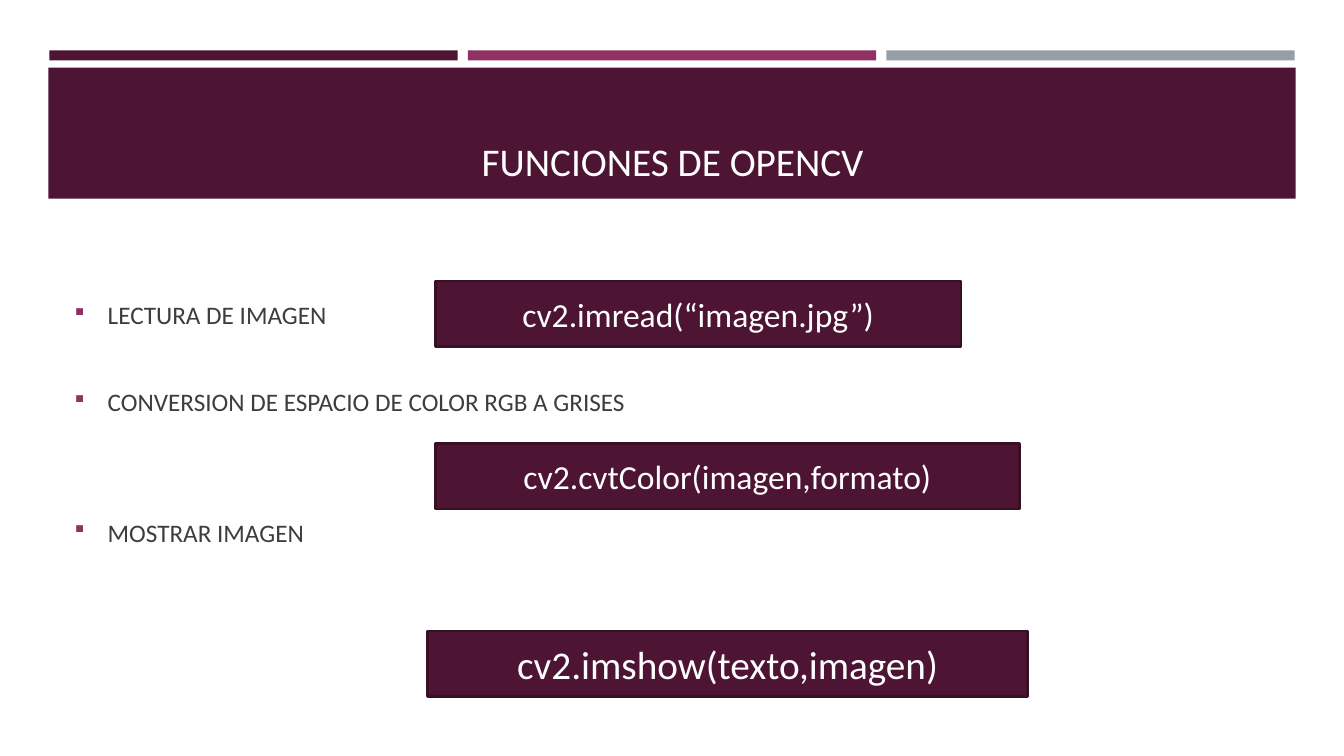
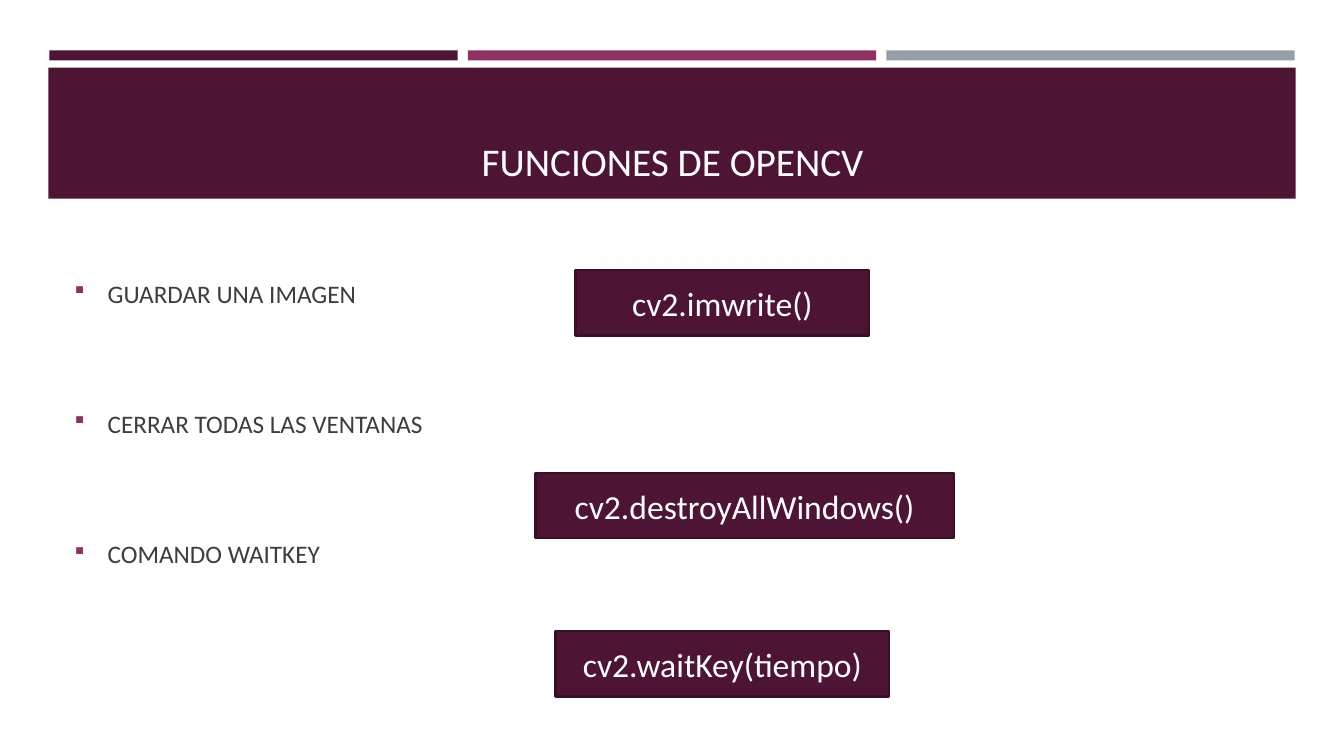
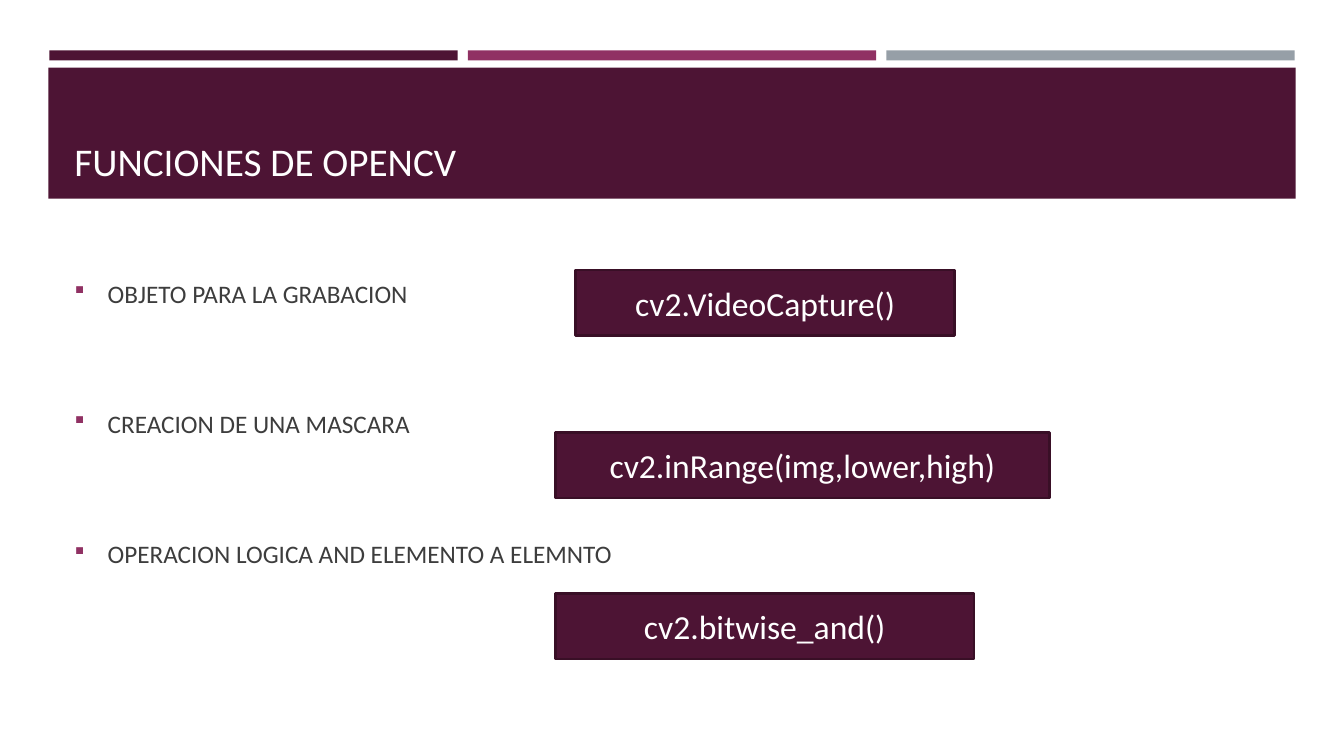
from pptx import Presentation
from pptx.dml.color import RGBColor
from pptx.enum.shapes import MSO_SHAPE
from pptx.enum.text import MSO_ANCHOR, PP_ALIGN
from pptx.oxml import parse_xml
from pptx.oxml.ns import nsdecls
from pptx.util import Inches, Pt

FONT = "Calibri"
COLORS = {"plum": "4D1434", "berry": "903163", "gray": "969FA7",
          "edge": "390F26", "ink": "3D3D3D", "white": "FFFFFF"}
BARS = ["plum", "berry", "gray"]
TITLE = "FUNCIONES DE OPENCV"
LEFT, WIDTH = 0.64, 12.06
PITCH, LINE = 0.433, 0.305   # distance between text rows, height of one row
MIDDLE = 4.44                # centre of the list
CODE_H = 0.65

# points: (row, text); codes: (left, top, width, size, text)
SLIDES = [
    {"align": PP_ALIGN.CENTER,
     "points": [(0, "LECTURA DE IMAGEN"),
                (2, "CONVERSION DE ESPACIO DE COLOR RGB A GRISES"),
                (5, "MOSTRAR IMAGEN")],
     "codes": [(4.32, 2.79, 5.21, 24, "cv2.imread(“imagen.jpg”)"),
               (4.32, 4.4, 5.79, 24, "cv2.cvtColor(imagen,formato)"),
               (4.24, 6.26, 5.95, 28, "cv2.imshow(texto,imagen)")]},
    {"align": PP_ALIGN.CENTER,
     "points": [(0, "GUARDAR UNA IMAGEN"),
                (3, "CERRAR TODAS LAS VENTANAS"),
                (6, "COMANDO WAITKEY")],
     "codes": [(5.71, 2.68, 2.91, 24, "cv2.imwrite()"),
               (5.31, 4.69, 4.15, 24, "cv2.destroyAllWindows()"),
               (5.51, 6.26, 3.31, 24, "cv2.waitKey(tiempo)")]},
    {"align": PP_ALIGN.LEFT,
     "points": [(0, "OBJETO PARA LA GRABACION"),
                (3, "CREACION DE UNA MASCARA"),
                (6, "OPERACION LOGICA AND ELEMENTO A ELEMNTO")],
     "codes": [(5.71, 2.68, 3.76, 24, "cv2.VideoCapture()"),
               (5.51, 4.29, 4.9, 24, "cv2.inRange(img,lower,high)"),
               (5.51, 5.89, 4.15, 24, "cv2.bitwise_and()")]},
]


def color(name):
    return RGBColor.from_string(COLORS[name])


def write(par, text, size=18, ink="white", align=PP_ALIGN.LEFT, before=0):
    par.alignment = align
    par.space_before = Inches(before)
    run = par.add_run()
    run.text = text
    run.font.name = FONT
    run.font.size = Pt(size)
    run.font.color.rgb = color(ink)


def add_rect(slide, left, top, width, height, fill, edge=None):
    rect = slide.shapes.add_shape(MSO_SHAPE.RECTANGLE, Inches(left), Inches(top),
                                  Inches(width), Inches(height))
    rect.shadow.inherit = False
    rect.fill.solid()
    rect.fill.fore_color.rgb = color(fill)
    if edge:
        rect.line.color.rgb = color(edge)
        rect.line.width = Pt(1.75)
    else:
        rect.line.fill.background()
    return rect


def add_box(slide, top, height, anchor):
    box = slide.shapes.add_textbox(Inches(LEFT), Inches(top),
                                   Inches(WIDTH), Inches(height))
    frame = box.text_frame
    frame.word_wrap = True
    frame.vertical_anchor = anchor
    return frame


def add_bullet(par):
    props = par._p.get_or_add_pPr()
    props.set("marL", str(Inches(0.33)))
    props.set("indent", str(Inches(-0.33)))
    ns = nsdecls("a")
    for xml in (f'<a:buClr {ns}><a:srgbClr val="{COLORS["berry"]}"/></a:buClr>',
                f'<a:buSzPct {ns} val="92000"/>',
                f'<a:buFont {ns} typeface="Wingdings" charset="2"/>',
                f'<a:buChar {ns} char="§"/>'):
        props.append(parse_xml(xml))


def add_head(slide, align):
    for i, fill in enumerate(BARS):
        add_rect(slide, 0.49 + i * 4.15, 0.5, 4.05, 0.1, fill)
    add_rect(slide, 0.48, 0.67, 12.37, 1.3, "plum")
    frame = add_box(slide, 0.77, 1.11, MSO_ANCHOR.BOTTOM)
    write(frame.paragraphs[0], TITLE, size=28, align=align)


def add_list(slide, points):
    """Centre the rows as a block, with one free row after the last point."""
    height = (points[-1][0] + 2) * PITCH
    frame = add_box(slide, MIDDLE - height / 2, height, MSO_ANCHOR.TOP)
    last = 0
    for i, (row, text) in enumerate(points):
        par = frame.add_paragraph() if i else frame.paragraphs[0]
        gap = (row - last) * PITCH - LINE if i else 0
        write(par, text, ink="ink", before=gap)
        add_bullet(par)
        last = row


def add_code(slide, left, top, width, size, text):
    rect = add_rect(slide, left, top, width, CODE_H, "plum", edge="edge")
    frame = rect.text_frame
    frame.word_wrap = True
    frame.vertical_anchor = MSO_ANCHOR.MIDDLE
    write(frame.paragraphs[0], text, size=size, align=PP_ALIGN.CENTER)


def main():
    deck = Presentation()
    deck.slide_width, deck.slide_height = Inches(13.33), Inches(7.5)
    for data in SLIDES:
        slide = deck.slides.add_slide(deck.slide_layouts[6])
        add_head(slide, data["align"])
        add_list(slide, data["points"])
        for code in data["codes"]:
            add_code(slide, *code)
    deck.save("out.pptx")


if __name__ == "__main__":
    main()
